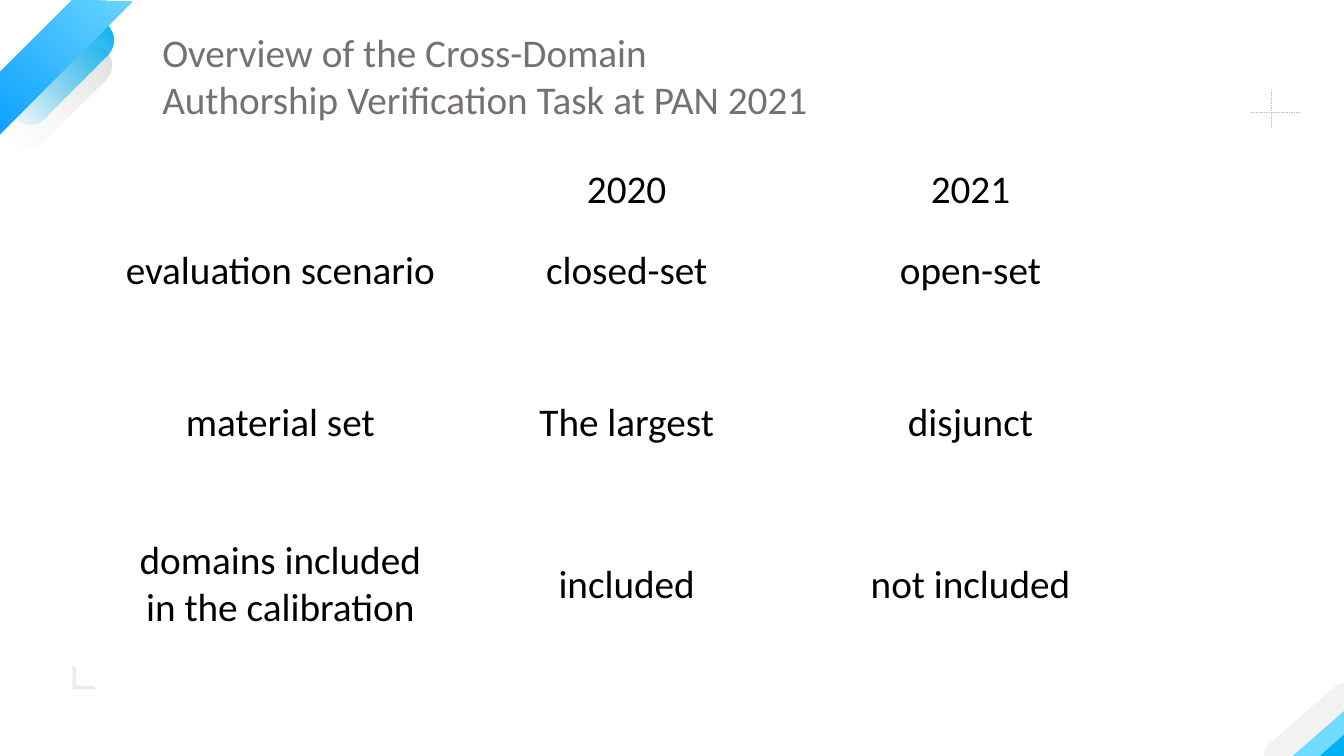
"""Build the slide that compares the 2020 and 2021 task settings."""
from dataclasses import dataclass

from lxml import etree
from pptx import Presentation
from pptx import util as u
from pptx.dml.color import RGBColor
from pptx.enum import dml, shapes, text
from pptx.oxml.ns import qn

FONT = "Calibri"
SIZE = 28
LINE = 0.57
ROUND = shapes.MSO_SHAPE.ROUNDED_RECTANGLE


@dataclass
class Tint:
    """A colour with its opacity in percent."""
    code: str
    solid: int = 100


@dataclass
class Band:
    """A rotated decoration filled with one tint or a gradient of two."""
    kind: shapes.MSO_SHAPE
    box: tuple[float, float, float, float]
    turn: float
    adjust: tuple[float, ...]
    tints: tuple[Tint, ...]


@dataclass
class Col:
    """A column of the comparison."""
    left: float
    width: float


@dataclass
class Row:
    """A row of the comparison, centred on a height."""
    mid: float
    cells: tuple[str, str, str]
    lines: tuple[float, float, float] = (LINE, LINE, LINE)


UPPER = (
    Band(ROUND, (-0.06, 0.75, 1.29, 0.41), 315, (0.5,),
         (Tint("D9D9D9", 91), Tint("F2F2F2", 0))),
    Band(ROUND, (-0.04, 0.51, 1.29, 0.41), 315, (0.5,),
         (Tint("00B0F0"), Tint("00B0F0", 0))),
    Band(shapes.MSO_SHAPE.TRAPEZOID, (-0.48, 0.33, 1.92, 0.43), 315, (0.94,),
         (Tint("71DAFF"), Tint("0099FF"))),
    Band(shapes.MSO_SHAPE.HALF_FRAME, (0.72, 6.6, 0.24, 0.24), 270, (0.15, 0.15),
         (Tint("BFBFBF", 30),)),
)
LOWER = (
    Band(ROUND, (12.71, 7.32, 0.99, 0.29), 138.8, (0.5,), (Tint("00B0F0"),)),
    Band(ROUND, (12.55, 7.2, 1.12, 0.24), 138.8, (0.5,), (Tint("71DAFF"),)),
    Band(ROUND, (12.43, 7.07, 1.12, 0.24), 138.8, (0.5,), (Tint("F2F2F2"),)),
)
CROSS = ((12.41, 1.11, 12.9, 1.11), (12.61, 0.89, 12.61, 1.27))
COLS = (Col(1.13, 3.3), Col(4.87, 2.69), Col(8.28, 2.69))
ROWS = (
    Row(1.86, ("", "2020", "2021")),
    Row(2.67, ("evaluation scenario", "closed-set", "open-set")),
    Row(4.18, ("material set", "The largest", "disjunct")),
    Row(5.78, ("domains included in the calibration", "included", "not included"),
        (1.04, LINE, LINE)),
)


def color(code: str) -> RGBColor:
    """Turn a hex string into a colour."""
    return RGBColor.from_string(code)


def inches(*sizes: float) -> list[u.Length]:
    """Turn numbers into lengths."""
    return [u.Inches(size) for size in sizes]


def style(frame, code: str, align: text.PP_ALIGN) -> None:
    """Format every paragraph of a text frame."""
    frame.word_wrap = True
    frame.auto_size = text.MSO_AUTO_SIZE.NONE
    frame.vertical_anchor = text.MSO_ANCHOR.MIDDLE
    for para in frame.paragraphs:
        para.alignment = align
        for run in para.runs:
            run.font.name = FONT
            run.font.size = u.Pt(SIZE)
            run.font.color.rgb = color(code)


def draw_band(slide, band: Band):
    """Draw one decoration."""
    shape = slide.shapes.add_shape(band.kind, *inches(*band.box))
    shape.rotation = band.turn
    shape.shadow.inherit = False
    shape.line.fill.background()
    for place, value in enumerate(band.adjust):
        shape.adjustments[place] = value
    if len(band.tints) == 1:
        shape.fill.solid()
        shape.fill.fore_color.rgb = color(band.tints[0].code)
    else:
        shape.fill.gradient()
        shape.fill.gradient_angle = 180
        for stop, tint in zip(shape.fill.gradient_stops, band.tints):
            stop.color.rgb = color(tint.code)
    paints = list(shape.element.spPr.iter(qn("a:srgbClr")))
    for paint, tint in zip(paints, band.tints):
        if tint.solid < 100:
            etree.SubElement(paint, qn("a:alpha")).set("val", str(tint.solid * 1000))
    return shape


def draw_line(slide, ends: tuple[float, float, float, float]) -> None:
    """Draw one thin dashed line."""
    line = slide.shapes.add_connector(shapes.MSO_CONNECTOR.STRAIGHT, *inches(*ends))
    line.line.color.rgb = color("BFBFBF")
    line.line.width = u.Pt(0.25)
    line.line.dash_style = dml.MSO_LINE.DASH
    etree.SubElement(line.element.spPr, qn("a:effectLst"))


def draw_row(slide, row: Row) -> None:
    """Write the cells of one row."""
    for col, words, high in zip(COLS, row.cells, row.lines):
        if words:
            box = slide.shapes.add_textbox(
                *inches(col.left, row.mid - high / 2, col.width, high))
            box.text_frame.text = words
            style(box.text_frame, "000000", text.PP_ALIGN.CENTER)


def draw_title(slide) -> None:
    """Place and fill the title."""
    title = slide.shapes.title
    title.left, title.top, title.width, title.height = inches(1.51, 0.23, 7.45, 1.04)
    title.text_frame.text = ("Overview of the Cross-Domain\n"
                             "Authorship Verification Task at PAN 2021")
    style(title.text_frame, "767171", text.PP_ALIGN.LEFT)


def main() -> None:
    """Build and save the deck."""
    deck = Presentation()
    deck.slide_width, deck.slide_height = inches(13.33, 7.5)
    slide = deck.slides.add_slide(deck.slide_layouts[5])
    draw_title(slide)
    for band in UPPER:
        draw_band(slide, band)
    for ends in CROSS:
        draw_line(slide, ends)
    slide.shapes.add_group_shape([draw_band(slide, band) for band in LOWER])
    for row in ROWS:
        draw_row(slide, row)
    deck.save("out.pptx")


if __name__ == "__main__":
    main()
